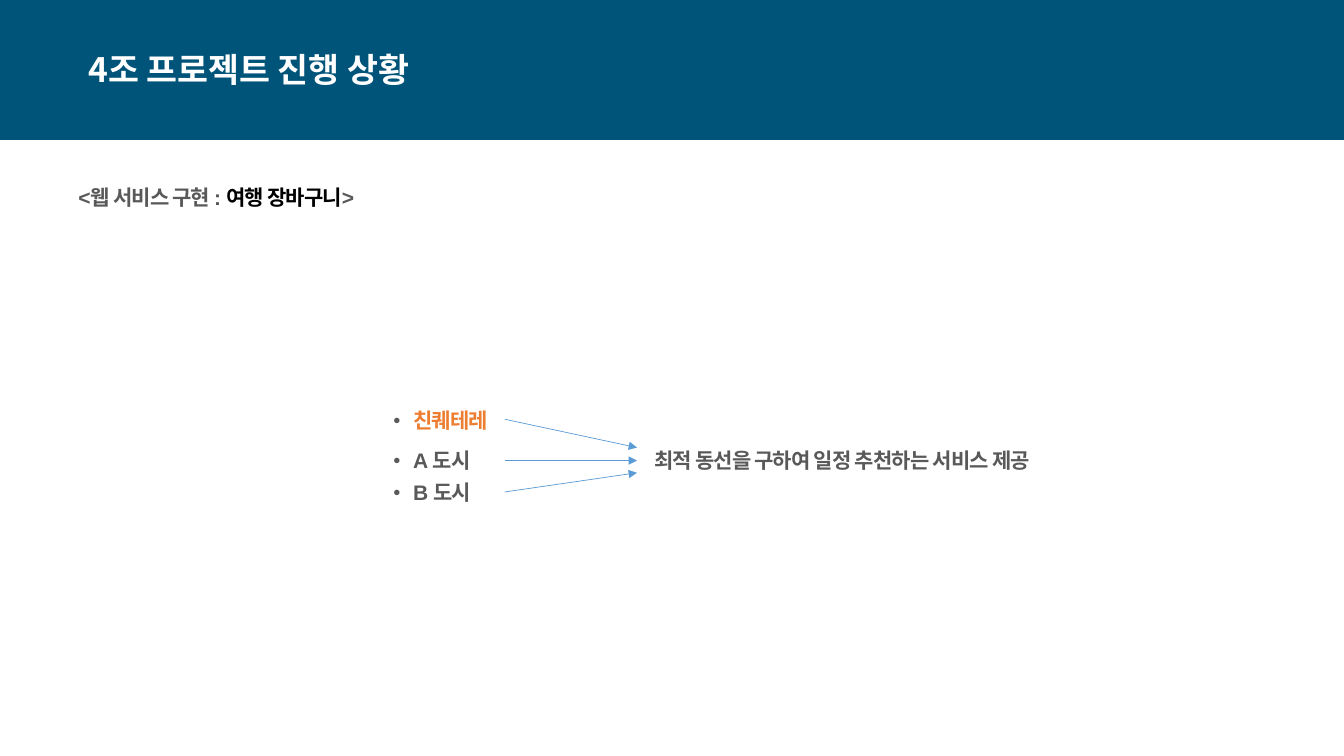
import dataclasses

import pptx
import pptx.dml.color
import pptx.enum.shapes
import pptx.enum.text
import pptx.oxml
import pptx.oxml.ns
import pptx.util

Pt = pptx.util.Pt


@dataclasses.dataclass(frozen=True)
class Theme:
    """Colours, fonts and type sizes of the slide."""

    banner: str = "00547A"
    title: str = "FFFFFF"
    body: str = "595959"
    strong: str = "000000"
    accent: str = "ED7D31"
    arrow: str = "5B9BD5"
    latin: str = "Arial"
    korean: str = "Noto Sans CJK KR"
    title_size: float = 24
    body_size: float = 15
    space_before: float = 5
    indent: float = 14.4


THEME = Theme()


def rgb(code):
    """Return the colour object for a hex code."""
    return pptx.dml.color.RGBColor.from_string(code)


def add_xml(parent, tag, **attributes):
    """Append a DrawingML element and return it."""
    element = pptx.oxml.parse_xml(f"<a:{tag} {pptx.oxml.ns.nsdecls('a')}/>")
    for name, value in attributes.items():
        element.set(name, value)
    parent.append(element)
    return element


def add_bullet(paragraph):
    """Give a paragraph a small round bullet with a hanging indent."""
    properties = paragraph._p.get_or_add_pPr()
    properties.set("marL", str(Pt(THEME.indent)))
    properties.set("indent", str(-Pt(THEME.indent)))
    add_xml(add_xml(properties, "buClr"), "srgbClr", val=THEME.body)
    add_xml(properties, "buSzPct", val="60000")
    add_xml(properties, "buFont", typeface=THEME.latin)
    add_xml(properties, "buChar", char="●")


def add_text(slide, paragraphs, left, top, width, height, *, size=THEME.body_size,
             font=THEME.latin, spacing=-60, before=THEME.space_before,
             margins=(0, 0), bullet=False):
    """Add a text box whose paragraphs are lists of (text, colour) runs."""
    box = slide.shapes.add_textbox(Pt(left), Pt(top), Pt(width), Pt(height))
    frame = box.text_frame
    frame.word_wrap = True
    frame.auto_size = pptx.enum.text.MSO_AUTO_SIZE.SHAPE_TO_FIT_TEXT
    frame.margin_left = frame.margin_right = Pt(margins[0])
    frame.margin_top = frame.margin_bottom = Pt(margins[1])
    for index, runs in enumerate(paragraphs):
        paragraph = frame.add_paragraph() if index else frame.paragraphs[0]
        paragraph.space_before = Pt(before)
        if bullet:
            add_bullet(paragraph)
        for text, colour in runs:
            run = paragraph.add_run()
            run.text = text
            run.font.size = Pt(size)
            run.font.bold = True
            run.font.name = font
            run.font.color.rgb = rgb(colour)
            properties = run._r.get_or_add_rPr()
            properties.set("spc", str(spacing))
            add_xml(properties, "ea", typeface=THEME.korean)


def add_banner(slide, width, height):
    """Add the filled band across the top of the slide."""
    banner = slide.shapes.add_shape(
        pptx.enum.shapes.MSO_SHAPE.RECTANGLE, 0, 0, Pt(width), Pt(height))
    banner.shadow.inherit = False
    banner.fill.solid()
    banner.fill.fore_color.rgb = rgb(THEME.banner)
    banner.line.fill.background()


def add_arrow(slide, start, end):
    """Add a thin straight arrow between two points."""
    arrow = slide.shapes.add_connector(
        pptx.enum.shapes.MSO_CONNECTOR.STRAIGHT, *map(Pt, start + end))
    arrow.line.color.rgb = rgb(THEME.arrow)
    arrow.line.width = Pt(0.5)
    add_xml(arrow.line._get_or_add_ln(), "tailEnd", type="triangle")
    add_xml(arrow._element.spPr, "effectLst")


def main():
    """Build the slide and save it."""
    presentation = pptx.Presentation()
    presentation.slide_width = Pt(960)
    presentation.slide_height = Pt(540)
    slide = presentation.slides.add_slide(presentation.slide_layouts[6])

    add_banner(slide, 960, 100)
    add_text(slide, [[("4조 프로젝트 진행 상황", THEME.title)]], 56, 31.7, 286.6, 36,
             size=THEME.title_size, font=THEME.korean, spacing=0, before=0,
             margins=(7.2, 3.6))
    add_text(slide, [[("<웹 서비스 구현 : ", THEME.body),
                      ("여행 장바구니", THEME.strong),
                      (">", THEME.body)]], 56, 131.8, 345.6, 18)

    cities_left, cities_width, row_top = 280.8, 98.6, 319.7
    add_text(slide, [[("친퀘테레", THEME.accent)]],
             cities_left, 290.9, cities_width, 18, bullet=True)
    add_text(slide, [[("A 도시", THEME.body)], [("B 도시", THEME.body)]],
             cities_left, row_top, cities_width, 41.8, bullet=True)
    add_text(slide, [[("최적 동선을 구하여 일정 추천하는 서비스 제공", THEME.body)]],
             467.3, row_top, 306, 18)

    for start_y, end_y in ((299.5, 319.7), (329, 329), (351.4, 337.7)):
        add_arrow(slide, (360.7, start_y), (455, end_y))

    presentation.save("out.pptx")


if __name__ == "__main__":
    main()
